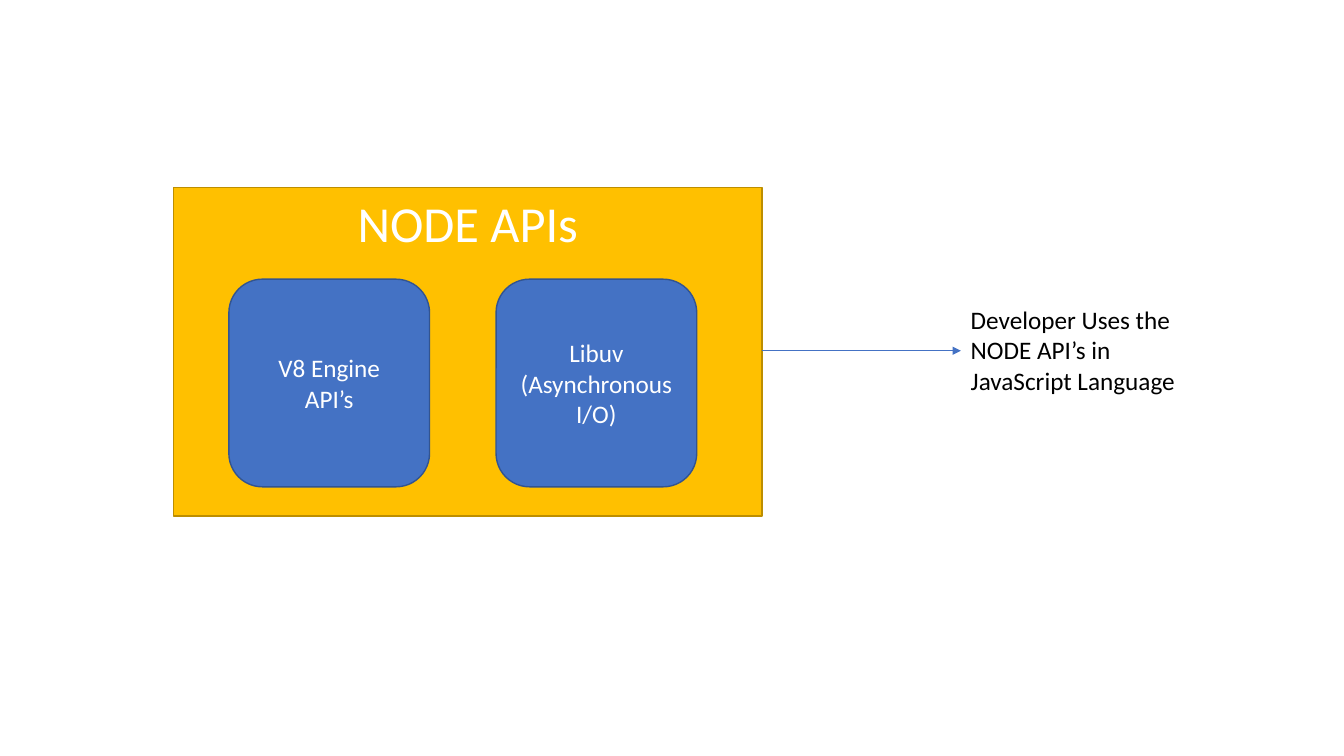
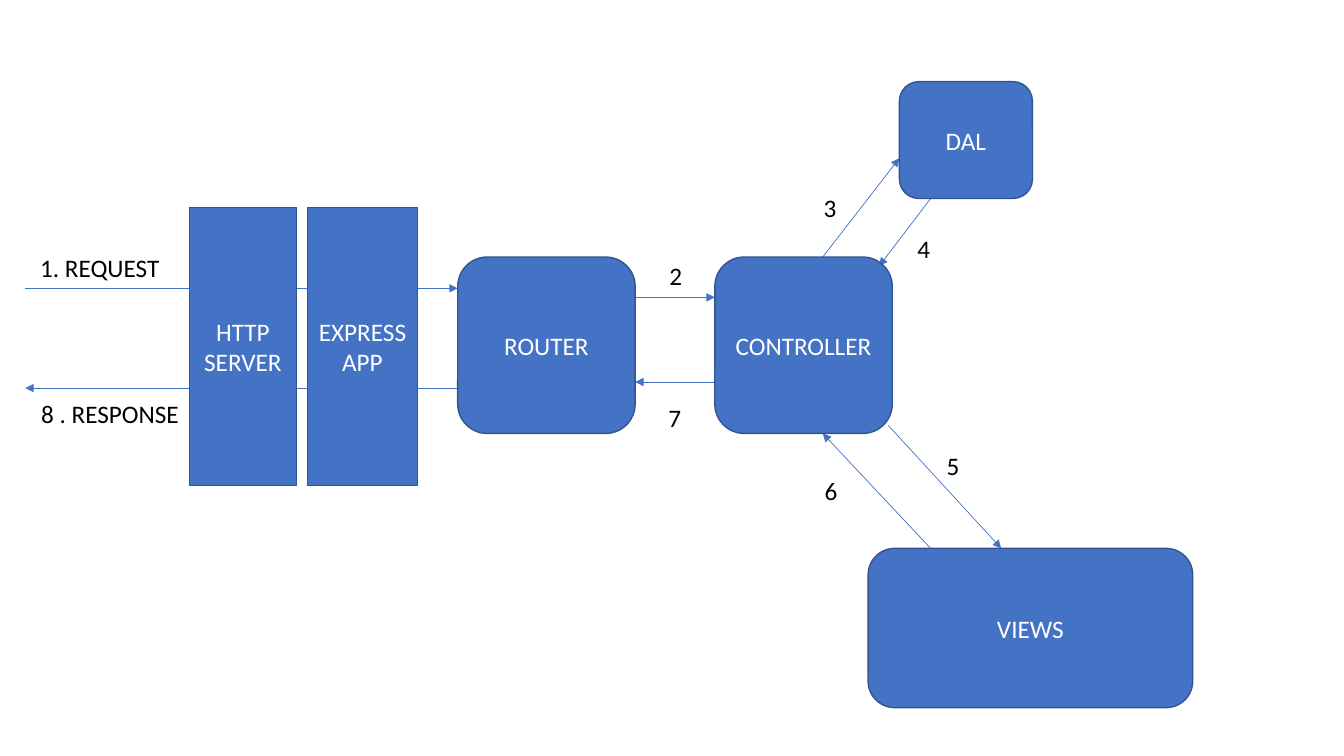
from lxml import etree
from pptx import Presentation
from pptx.dml.color import RGBColor
from pptx.enum.shapes import MSO_CONNECTOR, MSO_SHAPE
from pptx.enum.text import MSO_ANCHOR as ANCHOR, MSO_AUTO_SIZE as AUTO, PP_ALIGN as ALIGN
from pptx.oxml.ns import qn
from pptx.util import Inches, Pt

FONT = "Calibri"
BLUE, BLUE_EDGE = "4472C4", "325491"
GOLD, GOLD_EDGE = "FFC000", "BD8E00"
WHITE, BLACK = "FFFFFF", "000000"
RECT, ROUND = MSO_SHAPE.RECTANGLE, MSO_SHAPE.ROUNDED_RECTANGLE


def rgb(value):
    return RGBColor.from_string(value)


def write(tf, text, size=18, color=BLACK, align=ALIGN.LEFT, anchor=ANCHOR.TOP, wrap=True):
    """Fill a text frame, one paragraph per line of text."""
    tf.word_wrap = wrap
    tf.vertical_anchor = anchor
    for i, line in enumerate(text.split("\n")):
        p = tf.paragraphs[0] if i == 0 else tf.add_paragraph()
        p.alignment = align
        r = p.add_run()
        r.text = line
        r.font.name, r.font.size = FONT, Pt(size)
        r.font.color.rgb = rgb(color)


class Deck:
    """Holds the presentation, its style and the current slide."""

    def __init__(self):
        self.prs = Presentation()
        self.prs.slide_width, self.prs.slide_height = Inches(13.33), Inches(7.5)
        self.s = None

    def new_slide(self):
        self.s = self.prs.slides.add_slide(self.prs.slide_layouts[6])

    def box(self, text, x, y, w, h, shape=ROUND, fill=BLUE, edge=BLUE_EDGE,
            size=18, anchor=ANCHOR.MIDDLE):
        sp = self.s.shapes.add_shape(shape, Inches(x), Inches(y), Inches(w), Inches(h))
        sp.shadow.inherit = False
        sp.fill.solid()
        sp.fill.fore_color.rgb = rgb(fill)
        sp.line.color.rgb = rgb(edge)
        sp.line.width = Pt(1)
        write(sp.text_frame, text, size=size, color=WHITE, align=ALIGN.CENTER, anchor=anchor)

    def label(self, text, x, y, w, h=0.4, wrap=False):
        sp = self.s.shapes.add_textbox(Inches(x), Inches(y), Inches(w), Inches(h))
        write(sp.text_frame, text, wrap=wrap)
        sp.text_frame.auto_size = AUTO.SHAPE_TO_FIT_TEXT

    def arrow(self, x1, y1, x2, y2):
        cx = self.s.shapes.add_connector(MSO_CONNECTOR.STRAIGHT, Inches(x1), Inches(y1),
                                         Inches(x2), Inches(y2))
        cx.line.color.rgb = rgb(BLUE)
        cx.line.width = Pt(0.5)
        sp_pr = cx._element.spPr
        etree.SubElement(sp_pr.find(qn("a:ln")), qn("a:tailEnd"), type="triangle")
        etree.SubElement(sp_pr, qn("a:effectLst"))


def node_apis(deck):
    deck.new_slide()
    # API container and its two engines
    deck.box("NODE APIs", 1.72, 1.86, 5.84, 3.26, shape=RECT, fill=GOLD, edge=GOLD_EDGE,
             size=36, anchor=ANCHOR.TOP)
    engines = ["V8 Engine\nAPI’s", "Libuv\n(Asynchronous I/O)"]
    for i, text in enumerate(engines):
        deck.box(text, 2.27 + 2.65 * i, 2.77, 1.99, 2.06)
    # Developer
    deck.arrow(7.56, 3.48, 9.53, 3.48)
    deck.label("Developer Uses the NODE API’s in JavaScript Language",
               9.53, 2.97, 2.43, 1.01, wrap=True)


def request_flow(deck):
    deck.new_slide()
    # Arrows in step order, drawn first so the servers cover the long ones
    for ends in [
        (0.25, 2.86, 4.54, 2.86),
        (6.3, 2.95, 7.09, 2.95),
        (8.16, 2.55, 8.92, 1.57),
        (9.23, 1.97, 8.72, 2.64),
        (8.81, 4.22, 9.93, 5.44),
        (9.23, 5.44, 8.16, 4.3),
        (7.11, 3.79, 6.3, 3.79),
        (4.54, 3.85, 0.25, 3.85),
    ]:
        deck.arrow(*ends)
    # Components
    for text, x, w in [("HTTP SERVER", 1.88, 1.06), ("EXPRESS APP", 3.05, 1.09)]:
        deck.box(text, x, 2.06, w, 2.76, shape=RECT)
    for text, x in [("ROUTER", 4.54), ("CONTROLLER", 7.09)]:
        deck.box(text, x, 2.55, 1.76, 1.75)
    deck.box("DAL", 8.92, 0.81, 1.32, 1.16)
    deck.box("VIEWS", 8.61, 5.44, 3.22, 1.58)
    # Step labels
    deck.label("1. REQUEST", 0.3, 2.45, 1.39)
    deck.label("8 . RESPONSE", 0.31, 3.9, 1.58)
    steps = [(6.54, 2.53), (8.07, 1.86), (9, 2.27), (9.29, 4.42), (8.08, 4.67), (6.53, 3.94)]
    for number, (x, y) in enumerate(steps, start=2):
        deck.label(str(number), x, y, 0.33)


def main():
    deck = Deck()
    node_apis(deck)
    request_flow(deck)
    deck.prs.save("out.pptx")


if __name__ == "__main__":
    main()
